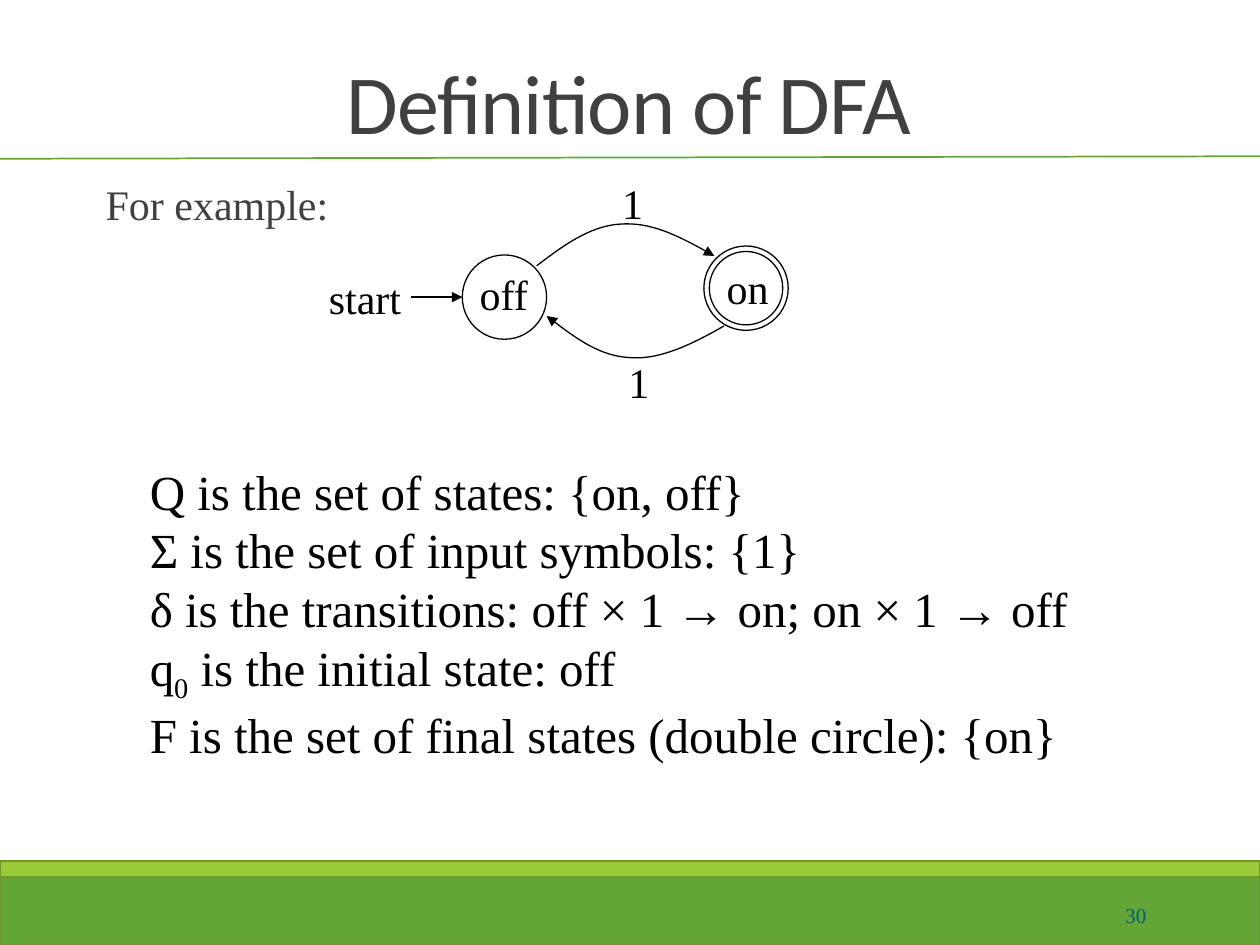
import pptx
import pptx.util
import pptx.dml.color
import pptx.enum.shapes
import pptx.enum.text
import pptx.oxml
from dataclasses import dataclass
from pptx.util import Cm


@dataclass(frozen=True)
class Theme:
    heading_font: str = "Calibri"
    body_font: str = "Times New Roman"
    title_size: float = 48
    label_size: float = 24
    definition_size: float = 28
    number_size: float = 12
    ink: str = "000000"
    grey: str = "404040"
    green: str = "63A537"
    lime: str = "99CB38"
    olive: str = "719629"
    teal: str = "045C75"


theme = Theme()
rgb = pptx.dml.color.RGBColor.from_string
shape_type = pptx.enum.shapes.MSO_SHAPE
anchor = pptx.enum.text.MSO_ANCHOR
align = pptx.enum.text.PP_ALIGN


def write(shape, text, size, color, font=theme.body_font):
    frame = shape.text_frame
    frame.text = text
    for paragraph in frame.paragraphs:
        for run in paragraph.runs:
            run.font.size = pptx.util.Pt(size)
            run.font.name = font
            run.font.color.rgb = rgb(color)
    return frame


def outline(shape, color, width, arrow_end=None):
    shape.line.color.rgb = rgb(color)
    shape.line.width = pptx.util.Pt(width)
    properties = shape._element.spPr
    if arrow_end:
        arrow = pptx.oxml.parse_xml(
            f'<a:{arrow_end} xmlns:a="http://schemas.openxmlformats.org/drawingml/2006/main" type="triangle"/>')
        properties.find(pptx.oxml.ns.qn("a:ln")).append(arrow)
    properties.append(pptx.oxml.parse_xml(
        '<a:effectLst xmlns:a="http://schemas.openxmlformats.org/drawingml/2006/main"/>'))


deck = pptx.Presentation()
deck.slide_width, deck.slide_height = Cm(25.4), Cm(19.05)
slide = deck.slides.add_slide(deck.slide_layouts[5])
shapes = slide.shapes

# Footer bands and title rule
for top, height, color in [(17.58, 1.47, theme.green), (17.35, 0.33, theme.lime)]:
    band = shapes.add_shape(shape_type.RECTANGLE, 0, Cm(top), Cm(25.4), Cm(height))
    band.fill.solid()
    band.fill.fore_color.rgb = rgb(color)
    outline(band, theme.olive, 1.25)
straight = pptx.enum.shapes.MSO_CONNECTOR.STRAIGHT
title_rule = shapes.add_connector(straight, Cm(-0.08), Cm(3.2), Cm(25.4), Cm(3.15))
outline(title_rule, theme.green, 1)

# Title
title = shapes.title
title.left, title.top, title.width, title.height = Cm(1.25), Cm(0.64), Cm(22.86), Cm(2.54)
title_frame = write(title, "Definition of DFA", theme.title_size, theme.grey, theme.heading_font)
title_frame.auto_size = pptx.enum.text.MSO_AUTO_SIZE.NONE
title_frame.vertical_anchor = anchor.BOTTOM
title_frame.paragraphs[0].alignment = align.CENTER
title_frame.paragraphs[0].line_spacing = 0.85
title_frame.paragraphs[0].runs[0].font._element.set("spc", "-50")

# Lead-in
lead_in = shapes.add_textbox(Cm(1.88), Cm(3.58), Cm(21.59), Cm(1.27))
lead_frame = write(lead_in, "For example:", theme.label_size, theme.grey)
lead_frame.word_wrap = True
lead_frame.margin_left = Cm(0.25)
lead_frame.paragraphs[0].line_spacing = 0.9

# Slide number
number = shapes.add_textbox(Cm(20.62), Cm(17.93), Cm(2.74), Cm(1.02))
number_frame = write(number, "30", theme.number_size, theme.teal)
number_frame.word_wrap = True
number_frame.vertical_anchor = anchor.MIDDLE
number_frame.paragraphs[0].alignment = align.RIGHT

# States: off, and on with its double circle
for center_x, center_y, diameter in [(10.17, 5.99, 1.7), (15.04, 5.81, 1.7), (15.04, 5.81, 1.48)]:
    state = shapes.add_shape(shape_type.OVAL, Cm(center_x - diameter / 2), Cm(center_y - diameter / 2),
                             Cm(diameter), Cm(diameter))
    state.fill.background()
    outline(state, theme.ink, 0.75)

# Transitions: the lower curve mirrors the upper one
upper_curve = [(10.82, 5.36), (11.35, 4.95), (11.91, 4.55), (12.5, 4.52),
               (13.11, 4.47), (13.77, 4.8), (14.4, 5.16)]
lower_curve = [(x + 0.2, 11.73 - y) for x, y in upper_curve]
for curve, arrow_end in [(upper_curve, "tailEnd"), (lower_curve, "headEnd")]:
    points = [(Cm(x), Cm(y)) for x, y in curve]
    builder = shapes.build_freeform(*points[0])
    builder.add_line_segments(points[1:], close=False)
    transition = builder.convert_to_shape()
    # Every three line points become one cubic segment
    segments = transition._element.xpath(".//a:lnTo")
    for first in range(0, len(segments), 3):
        cubic = pptx.oxml.parse_xml(
            '<a:cubicBezTo xmlns:a="http://schemas.openxmlformats.org/drawingml/2006/main"/>')
        segments[first].addprevious(cubic)
        for segment in segments[first:first + 3]:
            cubic.append(segment[0])
            segment.getparent().remove(segment)
    transition.fill.background()
    outline(transition, theme.ink, 0.75, arrow_end)

start_arrow = shapes.add_connector(straight, Cm(8.28), Cm(5.99), Cm(9.32), Cm(5.99))
outline(start_arrow, theme.ink, 0.75, "tailEnd")

# Diagram labels
for text, left, top, width in [("off", 9.42, 5.28, 1.5), ("on", 14.4, 5.16, 1.35),
                               ("start", 6.38, 5.36, 1.96), ("1", 12.29, 3.45, 0.94),
                               ("1", 12.42, 7.06, 0.94)]:
    label = shapes.add_textbox(Cm(left), Cm(top), Cm(width), Cm(1.27))
    write(label, text, theme.label_size, theme.ink).word_wrap = False

# Formal definition
definition_lines = [
    "Q is the set of states: {on, off}",
    "Σ is the set of input symbols: {1}",
    "δ is the transitions: off × 1 → on; on × 1 → off",
    "q",
    "F is the set of final states (double circle): {on}",
]
definition = shapes.add_textbox(Cm(2.77), Cm(9.17), Cm(19.02), Cm(6.2))
definition_frame = write(definition, "\n".join(definition_lines), theme.definition_size, theme.ink)
definition_frame.word_wrap = False
initial_state = definition_frame.paragraphs[3]
for text, baseline in [("0", "-25000"), (" is the initial state: off", "0")]:
    run = initial_state.add_run()
    run.text = text
    run.font.size = pptx.util.Pt(theme.definition_size)
    run.font.name = theme.body_font
    run.font.color.rgb = rgb(theme.ink)
    run.font._element.set("baseline", baseline)

deck.save("out.pptx")
